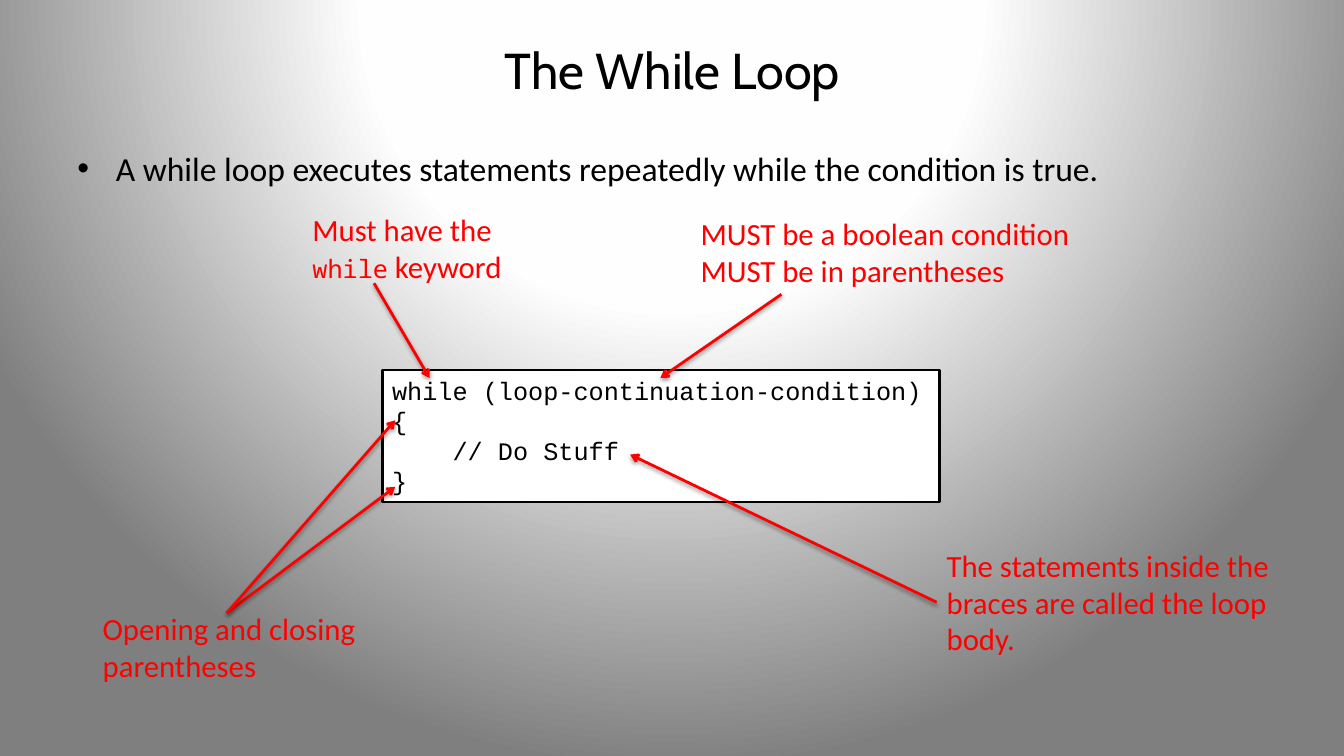
from dataclasses import dataclass

from lxml import etree
from pptx import Presentation
from pptx.dml.color import RGBColor
from pptx.enum.shapes import MSO_CONNECTOR, MSO_SHAPE
from pptx.enum.text import MSO_ANCHOR, MSO_AUTO_SIZE, PP_ALIGN
from pptx.oxml import parse_xml
from pptx.oxml.ns import nsdecls, qn
from pptx.shapes.autoshape import Shape
from pptx.slide import Slide
from pptx.text.text import TextFrame
from pptx.util import Inches, Pt

BLACK = RGBColor(0x00, 0x00, 0x00)
WHITE = RGBColor(0xFF, 0xFF, 0xFF)
RED = RGBColor(0xFF, 0x00, 0x00)
LEFT, CENTER = PP_ALIGN.LEFT, PP_ALIGN.CENTER
TOP, MIDDLE = MSO_ANCHOR.TOP, MSO_ANCHOR.MIDDLE
FIT_SHAPE = MSO_AUTO_SIZE.SHAPE_TO_FIT_TEXT
STRAIGHT = MSO_CONNECTOR.STRAIGHT
RECTANGLE = MSO_SHAPE.RECTANGLE
LEFT_SIDE = 1

GRADIENT = f"""<a:gradFill {nsdecls('a')} rotWithShape="1"><a:gsLst>
<a:gs pos="0"><a:srgbClr val="FFFFFF"/></a:gs>
<a:gs pos="40000"><a:srgbClr val="FEFEFE"/></a:gs>
<a:gs pos="100000"><a:srgbClr val="7F7F7F"/></a:gs>
</a:gsLst><a:path path="circle">
<a:fillToRect l="50000" t="-80000" r="50000" b="180000"/>
</a:path></a:gradFill>"""
SHADOW = f"""<a:effectLst {nsdecls('a')}>
<a:outerShdw blurRad="{Pt(3.1)}" dist="{Pt(1.6)}" dir="5400000" rotWithShape="0">
<a:srgbClr val="000000"><a:alpha val="38000"/></a:srgbClr>
</a:outerShdw></a:effectLst>"""


@dataclass(frozen=True)
class Span:
    text: str
    size: float = 22
    font: str = "Calibri"
    color: RGBColor = RED


@dataclass(frozen=True)
class Note:
    left: float
    top: float
    width: float
    height: float
    lines: list[list[Span]]


@dataclass(frozen=True)
class Arrow:
    start: tuple[float, float]
    end: tuple[float, float]


KEYWORD_NOTE = Note(3, 2.04, 2.12, 0.84, [
    [Span("Must have the")],
    [Span("while", 18, "Noto Sans Mono"), Span(" keyword")],
])
CONDITION_NOTE = Note(6.85, 2.08, 3.9, 0.84, [
    [Span("MUST be a boolean condition")],
    [Span("MUST be in parentheses")],
])
BRACES_NOTE = Note(0.92, 6, 2.74, 0.84, [
    [Span("Opening and closing")],
    [Span("parentheses")],
])
BODY_NOTE = Note(9.29, 5.37, 3.45, 1.21, [
    [Span("The statements inside the")],
    [Span("braces are called the loop")],
    [Span("body.")],
])

KEYWORD_ARROW = Arrow((3.71, 2.81), (4.26, 3.75))
CONDITION_ARROW = Arrow((7.75, 2.92), (6.55, 3.75))
CLOSING_ARROW = Arrow((2.25, 6.08), (3.92, 4.83))
OPENING_ARROW = Arrow((2.25, 6.08), (3.92, 4.17))
BODY_ARROW = Arrow((9.29, 5.98), (6.25, 4.51))

CODE = ["while (loop-continuation-condition)", "{", "    // Do Stuff", "}"]


def write_lines(frame: TextFrame, lines: list[list[Span]],
                alignment: PP_ALIGN = LEFT) -> None:
    for index, spans in enumerate(lines):
        para = frame.add_paragraph() if index else frame.paragraphs[0]
        para.alignment = alignment
        for span in spans:
            run = para.add_run()
            run.text = span.text
            run.font.name = span.font
            run.font.size = Pt(span.size)
            run.font.color.rgb = span.color


def fit_to_text(frame: TextFrame) -> None:
    frame.word_wrap = False
    frame.auto_size = FIT_SHAPE


def add_background(page: Slide) -> None:
    page.background.fill.gradient()
    fill = page.element.find(".//" + qn("a:gradFill"))
    fill.getparent().replace(fill, parse_xml(GRADIENT))


def add_title(page: Slide) -> None:
    box = page.shapes.add_textbox(Inches(0.67), Inches(0.3), Inches(12), Inches(0.78))
    frame = box.text_frame
    frame.word_wrap = True
    frame.vertical_anchor = MIDDLE
    write_lines(frame, [[Span("The While Loop", 36, "Cabin", BLACK)]], CENTER)


def add_summary(page: Slide) -> None:
    box = page.shapes.add_textbox(Inches(0.67), Inches(1.42), Inches(12), Inches(0.75))
    frame = box.text_frame
    frame.word_wrap = True
    properties = frame.paragraphs[0]._p.get_or_add_pPr()
    properties.set("marL", str(Inches(0.38)))
    properties.set("indent", str(-Inches(0.38)))
    etree.SubElement(properties, qn("a:buFont")).set("typeface", "Arial")
    etree.SubElement(properties, qn("a:buChar")).set("char", "•")
    sentence = "A while loop executes statements repeatedly while the condition is true."
    write_lines(frame, [[Span(sentence, 24, color=BLACK)]])


def add_code(page: Slide) -> None:
    box = page.shapes.add_shape(
        RECTANGLE, Inches(3.79), Inches(3.67), Inches(5.53), Inches(1.31))
    box.shadow.inherit = False
    box.fill.solid()
    box.fill.fore_color.rgb = WHITE
    box.line.color.rgb = BLACK
    box.line.width = Pt(2)
    fit_to_text(box.text_frame)
    box.text_frame.vertical_anchor = TOP
    write_lines(box.text_frame,
                [[Span(line, 18, "Courier New", BLACK)] for line in CODE])


def add_note(page: Slide, note: Note) -> Shape:
    box = page.shapes.add_textbox(
        Inches(note.left), Inches(note.top), Inches(note.width), Inches(note.height))
    fit_to_text(box.text_frame)
    write_lines(box.text_frame, note.lines)
    return box


def add_arrow(page: Slide, arrow: Arrow, source: Shape | None = None) -> None:
    connector = page.shapes.add_connector(
        STRAIGHT, *map(Inches, arrow.start), *map(Inches, arrow.end))
    if source is not None:
        connector.begin_connect(source, LEFT_SIDE)
    connector.line.color.rgb = RED
    connector.line.width = Pt(2)
    outline = connector.line._get_or_add_ln()
    etree.SubElement(outline, qn("a:tailEnd")).set("type", "arrow")
    connector._element.spPr.append(parse_xml(SHADOW))


def main() -> None:
    deck = Presentation()
    deck.slide_width = Inches(13.33)
    deck.slide_height = Inches(7.5)
    page = deck.slides.add_slide(deck.slide_layouts[6])
    add_background(page)
    add_title(page)
    add_summary(page)
    add_code(page)
    add_note(page, KEYWORD_NOTE)
    add_arrow(page, KEYWORD_ARROW)
    add_note(page, CONDITION_NOTE)
    add_arrow(page, CONDITION_ARROW)
    add_note(page, BRACES_NOTE)
    add_arrow(page, CLOSING_ARROW)
    add_arrow(page, OPENING_ARROW)
    body_box = add_note(page, BODY_NOTE)
    add_arrow(page, BODY_ARROW, body_box)
    deck.save("out.pptx")


if __name__ == "__main__":
    main()
